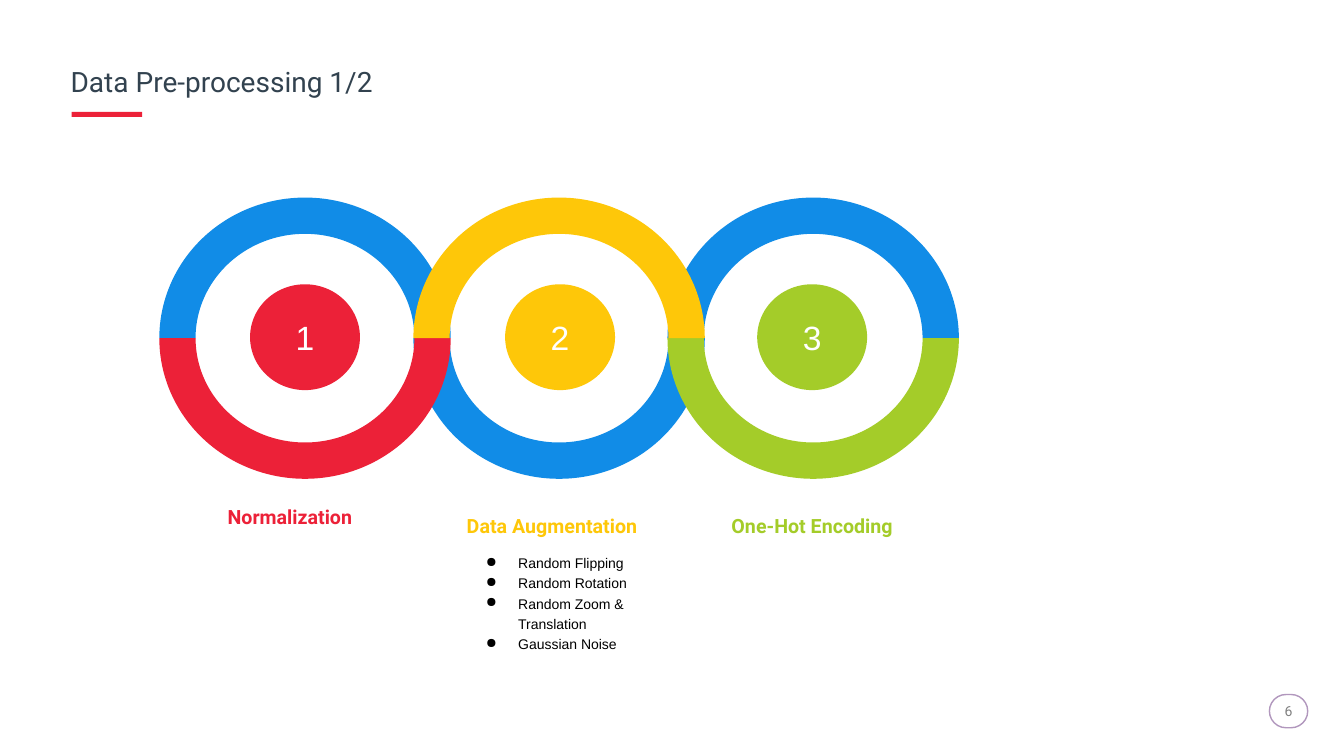
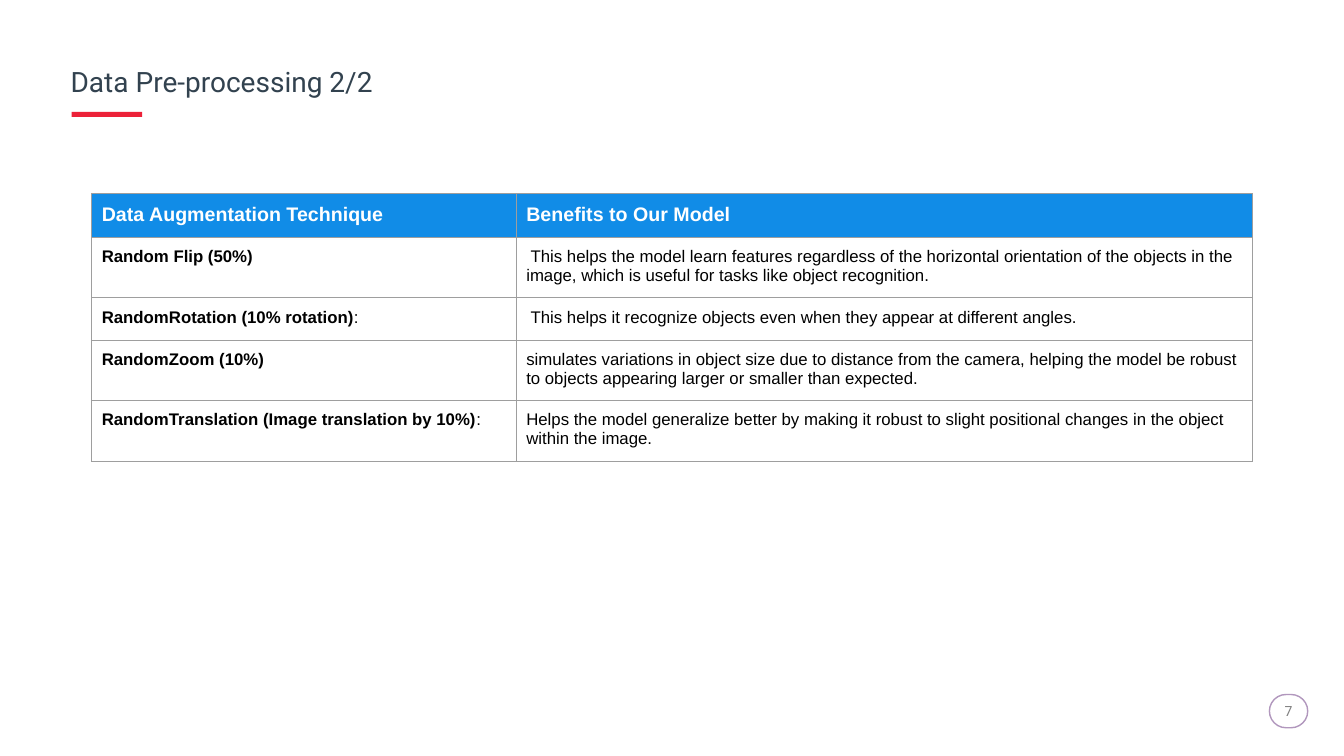
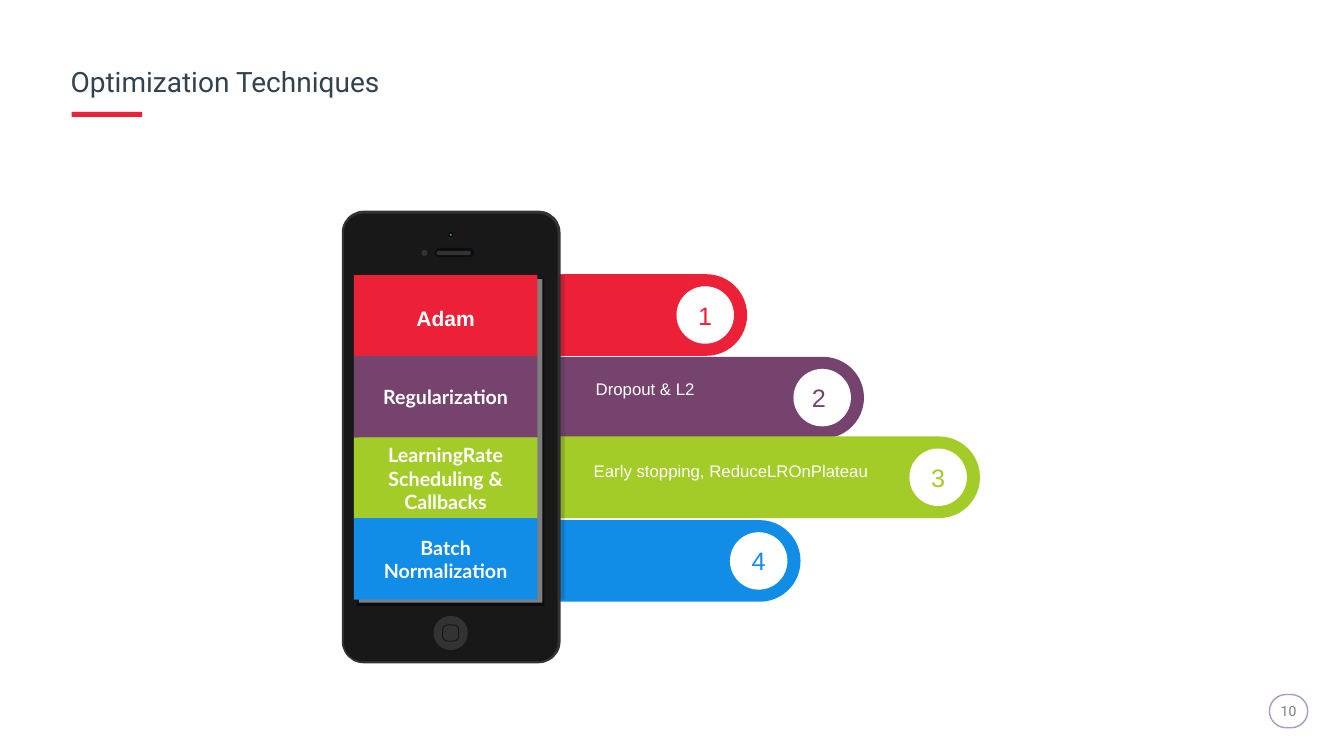
from lxml import etree
from pptx import Presentation
from pptx.dml.color import RGBColor
from pptx.enum.shapes import MSO_SHAPE
from pptx.enum.text import MSO_ANCHOR, PP_ALIGN
from pptx.oxml.ns import qn
from pptx.util import Pt

PX = 9144  # 100 px to the inch
RECT, ROUND, OVAL, ARC = (MSO_SHAPE.RECTANGLE, MSO_SHAPE.ROUNDED_RECTANGLE,
                          MSO_SHAPE.OVAL, MSO_SHAPE.BLOCK_ARC)
LEFT, CENTER = PP_ALIGN.LEFT, PP_ALIGN.CENTER
TOP, MIDDLE = MSO_ANCHOR.TOP, MSO_ANCHOR.MIDDLE
SHAPE_INSETS = (10, 5, 10, 5)
EVEN_INSETS = (10, 10, 10, 10)

COLORS = {
    "red": "EC2138", "blue": "118CE7", "yellow": "FEC709", "green": "A4CC29",
    "purple": "75436E", "white": "FFFFFF", "black": "000000",
    "title": "32424F", "badge": "B197BD", "number": "7F7F7F", "border": "9E9E9E",
    "body": "181818", "rim": "333333", "lens_rim": "2C2C2C", "lens_ring": "0A0A0A",
    "lens": "2C99B4", "slot": "0C0D11", "screen": "7E7E7E", "shade": "262626",
}

# Content: rings
RING_LEFT, RING_TOP, RING_STEP, RING_SIZE = 158, 196, 252, (289, 279)
RING_WIDTH = 0.129
UPPER, LOWER = (108, 0), (0, 108)  # arc ends, 108 = half a turn
HALF_RINGS = [(1, LOWER, "blue"), (2, UPPER, "blue"), (0, UPPER, "blue"),
              (0, LOWER, "red"), (2, LOWER, "green"), (1, UPPER, "yellow")]
STEPS = [  # number, colour, dot left, label, label left, label top
    ("1", "red", 248, "Normalization", 195, 504),
    ("2", "yellow", 501, "Data Augmentation", 455, 512),
    ("3", "green", 751, "One-Hot Encoding", 713, 512),
]
AUGMENTATIONS = ["Random Flipping", "Random Rotation",
                 "Random Zoom & Translation", "Gaussian Noise"]

# Content: table; a run is (text, bold)
COLUMN_WIDTHS = [421, 730]
ROW_HEIGHTS = [42, 57, 42, 57, 57]
TABLE_ROWS = [
    [[("Data Augmentation Technique", True)], [("Benefits to Our Model", True)]],
    [[("Random Flip (50%)", True)],
     " This helps the model learn features regardless of the horizontal orientation of "
     "the objects in the image, which is useful for tasks like object recognition."],
    [[("RandomRotation (10% rotation)", True), (":", False)],
     " This helps it recognize objects even when they appear at different angles."],
    [[("RandomZoom (10%)", True)],
     "simulates variations in object size due to distance from the camera, helping the "
     "model be robust to objects appearing larger or smaller than expected."],
    [[("RandomTranslation (Image translation by 10%)", True), (":", False)],
     "Helps the model generalize better by making it robust to slight positional changes "
     "in the object within the image."],
]

# Content: phone and bars
BAR_HEIGHT, DISC = 81, 57
BARS = [  # number, colour, left, top, width, number alignment
    ("1", "red", 464, 272, 277, CENTER), ("2", "purple", 501, 354, 356, LEFT),
    ("3", "green", 461, 433, 511, CENTER), ("4", "blue", 486, 516, 308, CENTER),
]
PHONE_PARTS = [  # shape, left, top, width, height, colour, corner
    (ROUND, 339, 209, 217, 449, "rim", 0.1),
    (ROUND, 341, 212, 212, 444, "body", 0.09),
    (OVAL, 444, 231, 6, 6, "lens_rim", None),
    (OVAL, 444, 230, 6, 6, "lens_ring", None),
    (OVAL, 445, 231, 4, 4, "black", None),
    (OVAL, 446, 232, 2, 2, "lens", None),
    (OVAL, 430, 611, 34, 34, "rim", None),
    (RECT, 354, 276, 186, 325, "slot", None),
    (RECT, 356, 277, 182, 321, "screen", None),
    (ROUND, 431, 246, 39, 9, "slot", 0.5),
    (ROUND, 433, 249, 34, 4, "rim", 0.5),
    (OVAL, 418, 248, 6, 6, "rim", None),
]
SCREEN_LABELS = [
    ("Adam", "red", {"size": 15, "font": "Arial", "spacing": 1.2}),
    ("Regularization", "purple", {}),
    ("LearningRate Scheduling & Callbacks", "green", {}),
    ("Batch Normalization", "blue", {}),
]
BAR_NOTES = [("Dropout & L2", (581, 366, 160, 56)),
             ("Early stopping, ReduceLROnPlateau", (579, 447, 308, 58))]


def rgb(name):
    return RGBColor.from_string(COLORS[name])


def emu(*lengths):
    return [length * PX for length in lengths]


def write(frame, paragraphs, size=12, font="Arial", color="black", bold=False,
          align=LEFT, spacing=None, bullet=None):
    """Fill a text frame; a paragraph is a string or a list of (text, bold) runs."""
    for index, runs in enumerate(paragraphs):
        para = frame.paragraphs[0] if index == 0 else frame.add_paragraph()
        if bullet:
            props = para._p.get_or_add_pPr()
            props.set("marL", str(50 * PX))
            props.set("indent", str(-32 * PX))
            tint = etree.SubElement(props, qn("a:buClr"))
            etree.SubElement(tint, qn("a:srgbClr"), val=COLORS[color])
            etree.SubElement(props, qn("a:buChar"), char=bullet)
        para.alignment = align
        if spacing:
            para.line_spacing = spacing
        for text, heavy in [(runs, bold)] if isinstance(runs, str) else runs:
            span = para.add_run()
            span.text = text
            span.font.size = Pt(size)
            span.font.name = font
            span.font.bold = heavy
            span.font.color.rgb = rgb(color)


def set_frame(frame, insets, anchor):
    frame.word_wrap = True
    frame.vertical_anchor = anchor
    (frame.margin_left, frame.margin_top,
     frame.margin_right, frame.margin_bottom) = emu(*insets)


def add_text(shapes, box, paragraphs, insets=(0, 0, 0, 0), **style):
    frame = shapes.add_textbox(*emu(*box)).text_frame
    set_frame(frame, insets, TOP)
    write(frame, paragraphs, **style)


def add_part(shapes, kind, box, fill=None, line=None, line_width=1, adjust=(),
             text=None, insets=SHAPE_INSETS, **style):
    part = shapes.add_shape(kind, *emu(*box))
    part.shadow.inherit = False
    for index, value in enumerate(adjust):
        part.adjustments[index] = value
    if fill:
        part.fill.solid()
        part.fill.fore_color.rgb = rgb(fill)
    else:
        part.fill.background()
    if line:
        part.line.color.rgb = rgb(line)
        part.line.width = Pt(line_width)
    else:
        part.line.fill.background()
    if text:
        set_frame(part.text_frame, insets, MIDDLE)
        write(part.text_frame, [text], **{"align": CENTER, **style})
    return part


def add_page(deck, title, number):
    """Blank slide with the shared title, accent rule and page badge."""
    shapes = deck.slides.add_slide(deck.slide_layouts[6]).shapes
    add_part(shapes, ROUND, (1259, 689, 38, 33), line="badge", adjust=[0.5],
             text=number, insets=(0, 0, 0, 0), size=10, font="Roboto", color="number")
    add_part(shapes, RECT, (71, 111, 70, 5), fill="red")
    add_text(shapes, (70, 68, 1193, 33), [title], size=20, font="Roboto",
             color="title", spacing=0.9)
    return shapes


def add_borders(cell):
    props = cell._tc.get_or_add_tcPr()
    for index, side in enumerate(("a:lnL", "a:lnR", "a:lnT", "a:lnB")):
        edge = etree.Element(qn(side), w=str(Pt(0.75)))
        fill = etree.SubElement(edge, qn("a:solidFill"))
        etree.SubElement(fill, qn("a:srgbClr"), val=COLORS["border"])
        props.insert(index, edge)


def build_rings(deck):
    shapes = add_page(deck, "Data Pre-processing 1/2", "6")
    for column, ends, color in HALF_RINGS:
        box = (RING_LEFT + column * RING_STEP, RING_TOP, *RING_SIZE)
        add_part(shapes, ARC, box, fill=color, adjust=[*ends, RING_WIDTH])
    for number, color, dot_left, label, left, top in STEPS:
        add_part(shapes, OVAL, (dot_left, 282, 109, 105), fill=color, text=number,
                 size=24, color="white")
        add_text(shapes, (left, top, 185, 35), [label], size=14, font="Roboto",
                 color=color, bold=True, align=CENTER, spacing=0.9)
    add_text(shapes, (464, 547, 213, 85), AUGMENTATIONS, size=10, spacing=1.2, bullet="●")


def build_table(deck):
    shapes = add_page(deck, "Data Pre-processing 2/2", "7")
    box = (91, 192, sum(COLUMN_WIDTHS), sum(ROW_HEIGHTS))
    table = shapes.add_table(len(TABLE_ROWS), len(COLUMN_WIDTHS), *emu(*box)).table
    table.horz_banding = False
    for column, width in zip(table.columns, COLUMN_WIDTHS):
        column.width = width * PX
    for index, (row, height) in enumerate(zip(table.rows, ROW_HEIGHTS)):
        row.height = height * PX
        for cell, text in zip(row.cells, TABLE_ROWS[index]):
            (cell.margin_left, cell.margin_top,
             cell.margin_right, cell.margin_bottom) = emu(*EVEN_INSETS)
            if index == 0:
                cell.fill.solid()
                cell.fill.fore_color.rgb = rgb("blue")
                write(cell.text_frame, [text], size=14, color="white")
            else:
                cell.fill.background()
                write(cell.text_frame, [text])
            add_borders(cell)


def build_phone(deck):
    shapes = add_page(deck, "Optimization Techniques", "10")
    # Numbered bars
    for number, color, left, top, width, align in BARS:
        bar = shapes.add_group_shape().shapes
        add_part(bar, ROUND, (left, top, width, BAR_HEIGHT), fill=color, adjust=[0.5])
        add_part(bar, OVAL, (left + width - 70, top + 12, DISC, DISC), fill="white",
                 text=number, size=18, color=color, align=align)
    # Phone
    phone = shapes.add_group_shape().shapes
    for kind, left, top, width, height, color, corner in PHONE_PARTS:
        add_part(phone, kind, (left, top, width, height), fill=color,
                 adjust=[corner] if corner else [])
    add_part(phone, ROUND, (439, 620, 16, 16), line="body", line_width=0.75, adjust=[0.3])
    # Screen labels
    for index, (label, color, style) in enumerate(SCREEN_LABELS):
        add_part(shapes, RECT, (351, 273 + index * 161 // 2, 182, 81), fill=color, text=label,
                 **{"size": 14, "font": "Lato", "color": "white", "bold": True, **style})
    # Shade beside the phone, then notes on the bars
    shade = add_part(shapes, RECT, (550, 273, 10, 322), fill="shade")
    tint = shade.element.find(".//" + qn("a:srgbClr"))
    etree.SubElement(tint, qn("a:alpha"), val="20000")
    for note, box in BAR_NOTES:
        add_text(shapes, box, [note], insets=EVEN_INSETS, color="white")


def main():
    deck = Presentation()
    deck.slide_width, deck.slide_height = emu(1333, 750)
    build_rings(deck)
    build_table(deck)
    build_phone(deck)
    deck.save("out.pptx")


if __name__ == "__main__":
    main()
